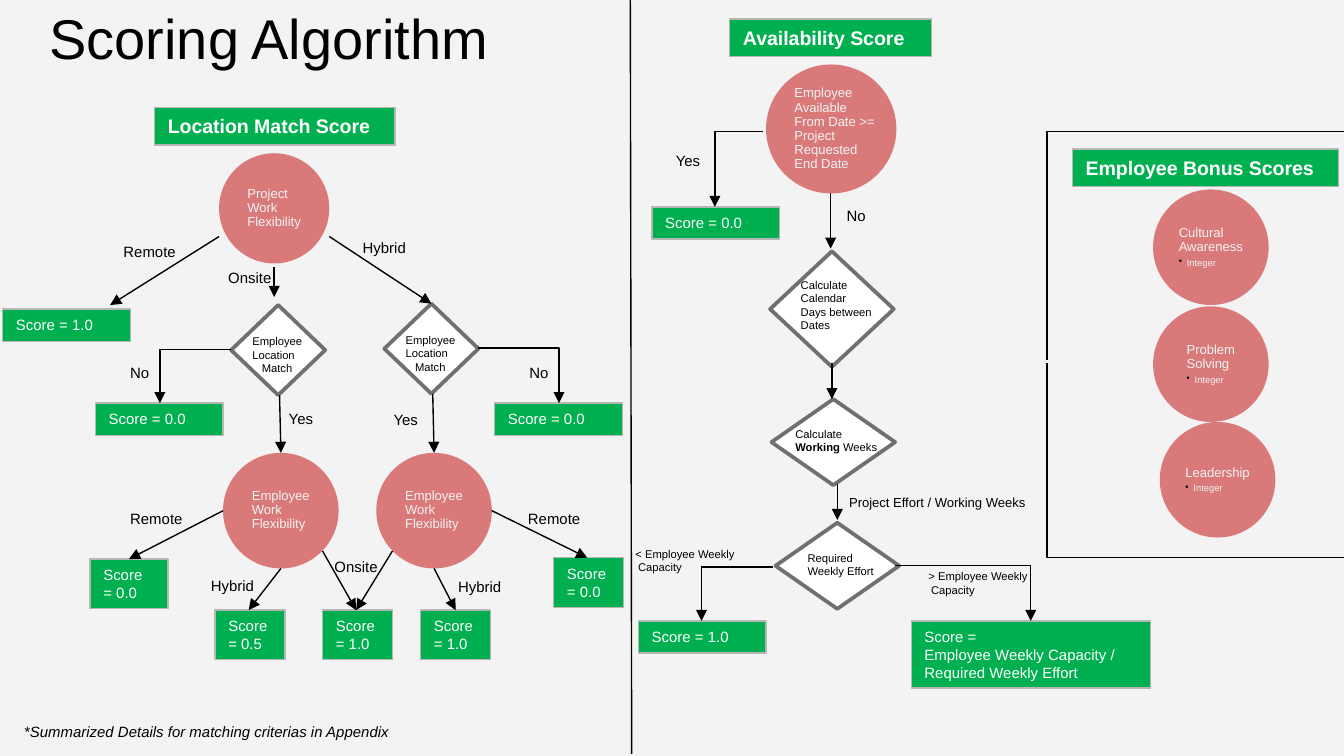
from dataclasses import dataclass

from lxml import etree
from pptx import Presentation
from pptx.dml.color import RGBColor
from pptx.enum.shapes import MSO_CONNECTOR, MSO_SHAPE
from pptx.enum.text import MSO_ANCHOR, PP_ALIGN
from pptx.oxml.ns import qn
from pptx.shapes.shapetree import SlideShapes
from pptx.util import Pt

PX = 9144  # EMU per px, 100 px to the inch
SLIDE_WIDTH = 1000 * PX
SLIDE_HEIGHT = SLIDE_WIDTH * 9 // 16
FONT = "Arial"

BACKGROUND = RGBColor(0xF3, 0xF3, 0xF3)
BLACK = RGBColor(0x00, 0x00, 0x00)
WHITE = RGBColor(0xFF, 0xFF, 0xFF)
GREEN = RGBColor(0x00, 0xB0, 0x50)
GREEN_EDGE = RGBColor(0xB6, 0xB6, 0xB6)
RED = RGBColor(0xC0, 0x00, 0x00)
DIAMOND_EDGE = RGBColor(0x70, 0x70, 0x70)

RECTANGLE = MSO_SHAPE.RECTANGLE
ELLIPSE = MSO_SHAPE.OVAL
DIAMOND = MSO_SHAPE.DIAMOND
STRAIGHT = MSO_CONNECTOR.STRAIGHT
TOP = MSO_ANCHOR.TOP
MIDDLE = MSO_ANCHOR.MIDDLE
LEFT = PP_ALIGN.LEFT


def add_run(paragraph, words, size, color, bold=False, italic=False):
    run = paragraph.add_run()
    run.text = words
    font = run.font
    font.name, font.size, font.color.rgb = FONT, Pt(size), color
    font.bold, font.italic = bold, italic


def write(frame, text, size=8, color=BLACK, bold=False, italic=False, bold_word="",
          wrap=True, anchor=TOP, insets=(10, 5, 10, 5), last_indent=0):
    """Write one paragraph per line; last_indent shifts the last one right."""
    frame.word_wrap, frame.vertical_anchor = wrap, anchor
    (frame.margin_left, frame.margin_top,
     frame.margin_right, frame.margin_bottom) = (inset * PX for inset in insets)
    for number, line in enumerate(text.split("\n")):
        paragraph = frame.add_paragraph() if number else frame.paragraphs[0]
        paragraph.alignment = LEFT
        before, word, after = line.partition(bold_word) if bold_word else (line, "", "")
        for words, heavy in ((before, bold), (word, True), (after, bold)):
            if words:
                add_run(paragraph, words, size, color, heavy, italic)
    if last_indent:
        paragraph._p.get_or_add_pPr().set("marL", str(last_indent * PX))


def add_bullet(frame, words):
    paragraph = frame.add_paragraph()
    paragraph.alignment = LEFT
    add_run(paragraph, words, 5, BACKGROUND)
    properties = paragraph._p.get_or_add_pPr()
    properties.set("marL", str(6 * PX))
    properties.set("indent", str(-6 * PX))
    bullet_color = etree.SubElement(properties, qn("a:buClr"))
    etree.SubElement(bullet_color, qn("a:srgbClr"), val=str(BLACK))
    etree.SubElement(properties, qn("a:buChar"), char="•")


@dataclass
class Region:
    """A part of the slide whose contents are placed from its top left corner."""
    shapes: SlideShapes
    left: int
    top: int

    def place(self, x, y):
        return (self.left + x) * PX, (self.top + y) * PX

    def label(self, x, y, w, h, text, **text_format):
        box = self.shapes.add_textbox(*self.place(x, y), w * PX, h * PX)
        write(box.text_frame, text, **text_format)

    def note(self, x, y, w, text, h=24, **text_format):
        self.label(x, y, w, h, text, wrap=False, **text_format)

    def outline(self, kind, x, y, w, h, fill, edge=None, edge_width=0.75):
        shape = self.shapes.add_shape(kind, *self.place(x, y), w * PX, h * PX)
        shape.shadow.inherit = False
        shape.fill.solid()
        shape.fill.fore_color.rgb = fill
        if edge is None:
            shape.line.fill.background()
        else:
            shape.line.color.rgb = edge
            shape.line.width = Pt(edge_width)
        return shape

    def score(self, x, y, text, w=95, h=24, **text_format):
        box = self.outline(RECTANGLE, x, y, w, h, GREEN, GREEN_EDGE)
        write(box.text_frame, text, color=WHITE, **text_format)

    def heading(self, x, y, w, text):
        self.score(x, y, text, w, 28, size=10.5, bold=True)

    def circle(self, x, y, text, w=86, h=86, bullet="", right_inset=5):
        circle = self.outline(ELLIPSE, x, y, w, h, RED)
        color = circle._element.spPr.find(qn("a:solidFill"))[0]
        etree.SubElement(color, qn("a:alpha"), val="50000")
        frame = circle.text_frame
        write(frame, text, size=7, color=BACKGROUND, anchor=MIDDLE,
              insets=(5, 1, right_inset, 1))
        frame._txBody.bodyPr.set("anchorCtr", "1")
        if bullet:
            add_bullet(frame, bullet)
        for paragraph in frame.paragraphs:
            paragraph.line_spacing = 0.9
            paragraph.space_after = Pt(2)

    def diamond(self, x, y, w, h, text, text_box, **text_format):
        """text_box is measured from the corner of the diamond."""
        self.outline(DIAMOND, x, y, w, h, WHITE, DIAMOND_EDGE, 2)
        dx, dy, text_w, text_h = text_box
        self.label(x + dx, y + dy, text_w, text_h, text, size=6, **text_format)

    def line(self, x1, y1, x2, y2, bent=False, arrow=True):
        """A bent line runs across first, then up or down."""
        line = self.shapes.add_connector(STRAIGHT, *self.place(x1, y1), *self.place(x2, y2))
        line.line.color.rgb = BLACK
        line.line.width = Pt(0.75)
        properties = line._element.spPr
        if bent:
            properties.find(qn("a:prstGeom")).set("prst", "bentConnector2")
        if arrow:
            etree.SubElement(properties.find(qn("a:ln")), qn("a:tailEnd"), type="triangle")
        etree.SubElement(properties, qn("a:effectLst"))


def location_match(region):
    region.heading(115, 0, 179, "Location Match Score")
    region.circle(163, 34, "Project Work Flexibility", 82, 82)
    for x, y in ((172, 147), (286, 146)):
        region.diamond(x, y, 70, 67, "Employee\nLocation\nMatch", (6, 17, 60, 50),
                       wrap=False, last_indent=7)
    for x in (166, 280):
        region.circle(x, 257, "Employee Work Flexibility")
    for x, y, value in ((2, 150, "1.0"), (71, 220, "0.0"), (368, 220, "0.0")):
        region.score(x, y, f"Score = {value}")
    for x, y, w, value in ((67, 336, 58, "0.0"), (160, 374, 52, "0.5"), (240, 374, 52, "1.0"),
                           (313, 374, 52, "1.0"), (412, 335, 52, "0.0")):
        region.score(x, y, f"Score = {value}", w, 37)
    for ends in ((163, 96, 82, 147), (204, 119, 204, 141), (245, 96, 321, 146),
                 (208, 214, 209, 257), (322, 213, 323, 257),
                 (166, 300, 96, 336), (209, 343, 185, 374), (240, 330, 265, 374),
                 (292, 330, 265, 374), (323, 343, 339, 374), (366, 300, 437, 335)):
        region.line(*ends)
    region.line(172, 180, 119, 220, bent=True)
    region.line(356, 179, 416, 220, bent=True)
    for x, y, w, answer in ((82, 96, 60, "Remote"), (160, 115, 53, "Onsite"),
                            (260, 93, 53, "Hybrid"), (87, 186, 35, "No"), (384, 186, 35, "No"),
                            (205, 220, 40, "Yes"), (283, 221, 40, "Yes"),
                            (87, 294, 60, "Remote"), (383, 294, 60, "Remote"),
                            (147, 344, 53, "Hybrid"), (331, 345, 53, "Hybrid"),
                            (239, 330, 53, "Onsite")):
        region.note(x, y, w, answer)


def availability(region):
    region.heading(80, 0, 150, "Availability Score")
    region.circle(107, 34, "Employee Available From Date >= Project Requested End Date",
                  97, 96, right_inset=0)
    region.diamond(110, 173, 92, 86, "Calculate Calendar Days between Dates", (13, 15, 74, 50))
    region.diamond(111, 283, 92, 64, "Calculate Working Weeks", (8, 16, 84, 30),
                   bold_word="Working")
    region.diamond(114, 375, 92, 64, "Required Weekly Effort", (14, 16, 75, 30))
    region.score(22, 140, "Score = 0.0")
    region.score(12, 448, "Score = 1.0")
    region.score(215, 448, "Score =\nEmployee Weekly Capacity / Required Weekly Effort", 178, 50)
    for x, y1, y2 in ((155, 130, 171), (156, 256, 283), (160, 346, 373)):
        region.line(x, y1, x, y2)
    for ends in ((105, 84, 69, 140), (112, 408, 59, 448), (203, 407, 304, 448)):
        region.line(*ends, bent=True)
    region.note(30, 94, 40, "Yes")
    region.note(157, 135, 35, "No")
    region.note(159, 349, 154, "Project Effort / Working Weeks", 22, size=7)
    for x, y, sign in ((0, 388, "<"), (218, 405, ">")):
        region.note(x, y, 95, f"{sign} Employee Weekly\nCapacity", 30, size=6, last_indent=2)


def bonus_scores(region):
    region.line(221, 0, 0, 170, bent=True, arrow=False)
    region.line(221, 317, 0, 172, bent=True, arrow=False)
    region.heading(19, 13, 198, "Employee Bonus Scores")
    for x, y, trait in ((79, 43, "Cultural Awareness"), (79, 130, "Problem Solving"),
                        (84, 216, "Leadership")):
        region.circle(x, y, trait, bullet="Integer")


def main():
    presentation = Presentation()
    presentation.slide_width, presentation.slide_height = SLIDE_WIDTH, SLIDE_HEIGHT
    slide = presentation.slides.add_slide(presentation.slide_layouts[6])
    slide.background.fill.solid()
    slide.background.fill.fore_color.rgb = BACKGROUND
    shapes = slide.shapes

    page = Region(shapes, 0, 0)
    page.label(27, 0, 843, 56, "Scoring Algorithm", size=30, insets=(10, 3, 10, 10))
    page.line(469, 0, 470, 561, arrow=False)
    page.note(8, 533, 295, "*Summarized Details for matching criterias in Appendix", italic=True)
    location_match(Region(shapes, 0, 80))
    availability(Region(shapes, 463, 14))
    bonus_scores(Region(shapes, 779, 98))
    presentation.save("out.pptx")


if __name__ == "__main__":
    main()
